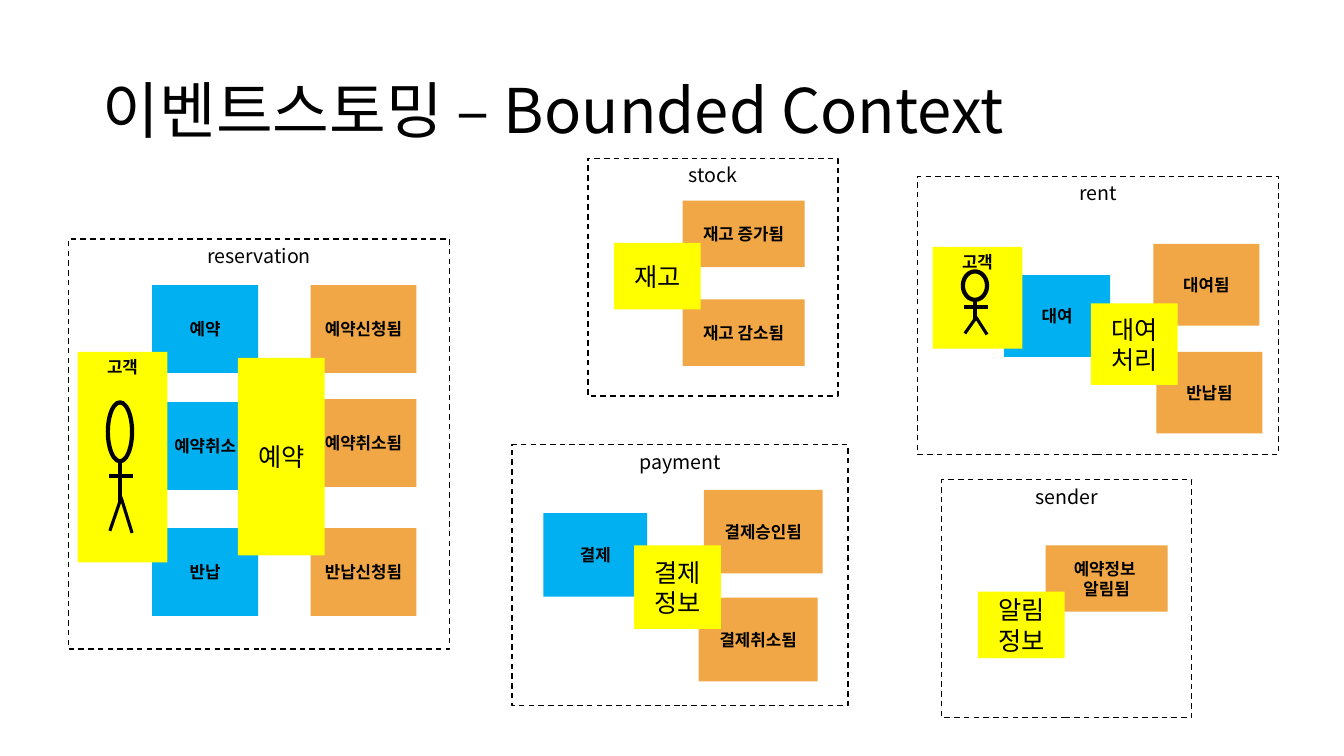
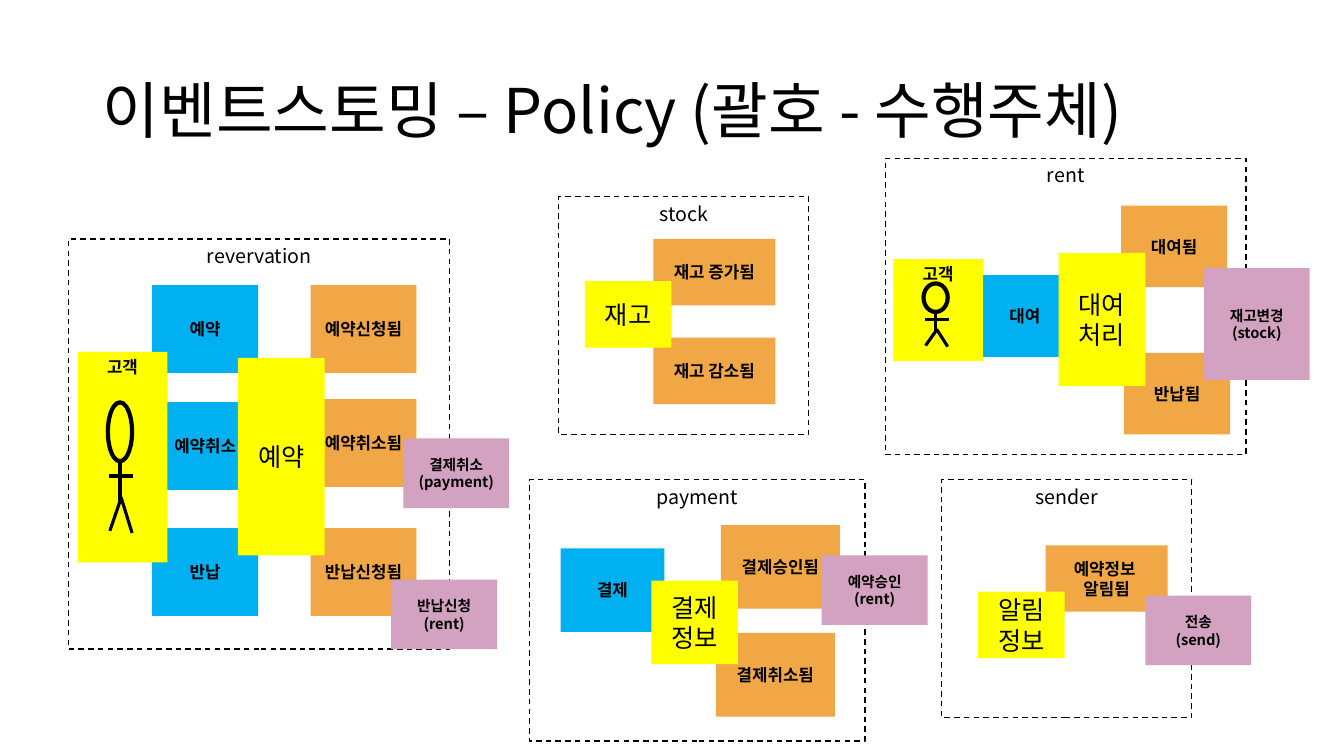
import lxml.etree
import pptx
import pptx.dml.color
import pptx.enum.dml
import pptx.enum.shapes
import pptx.enum.text
import pptx.oxml.ns
import pptx.util

Inches = pptx.util.Inches
ANCHOR = pptx.enum.text.MSO_ANCHOR
ALIGN = pptx.enum.text.PP_ALIGN
SHAPE = pptx.enum.shapes.MSO_SHAPE

FONT = "Noto Sans CJK KR"
COLOURS = {
    "ink": "000000",
    "command": "00B0F0",
    "event": "F1A746",
    "aggregate": "FFFF00",
    "actor": "FFFF00",
    "policy": "D4A2C1",
}
# Text format of each kind of sticky note
NOTE_TEXT = {
    "command": dict(size=12, bold=True),
    "event": dict(size=12, bold=True),
    "aggregate": dict(size=18),
    "actor": dict(size=12, bold=True, anchor=ANCHOR.TOP),
    "policy": dict(size=10.5, bold=True),
}


def colour(name):
    return pptx.dml.color.RGBColor.from_string(COLOURS[name])


def write_text(shape, text, size, bold=False, align=ALIGN.CENTER,
               anchor=ANCHOR.MIDDLE, line_spacing=None):
    """Fill a shape with text, one paragraph per line."""
    frame = shape.text_frame
    frame.word_wrap = True
    frame.auto_size = pptx.enum.text.MSO_AUTO_SIZE.NONE
    frame.vertical_anchor = anchor
    frame.text = text
    for paragraph in frame.paragraphs:
        paragraph.alignment = align
        paragraph.line_spacing = line_spacing
        for run in paragraph.runs:
            run.font.size = pptx.util.Pt(size)
            run.font.bold = bold
            run.font.color.rgb = colour("ink")
            run.font.name = FONT
            # East Asian typeface for the Korean letters
            lxml.etree.SubElement(run.font._element, pptx.oxml.ns.qn("a:ea"), typeface=FONT)


def add_outline(line, width):
    line.color.rgb = colour("ink")
    line.width = pptx.util.Pt(width)


def add_plain_shape(shapes, kind, left, top, width, height):
    """Add a shape without fill or shadow."""
    shape = shapes.add_shape(kind, Inches(left), Inches(top), Inches(width), Inches(height))
    shape.shadow.inherit = False
    shape.fill.background()
    return shape


def add_note(shapes, kind, left, top, width, height, text):
    note = add_plain_shape(shapes, SHAPE.RECTANGLE, left, top, width, height)
    note.fill.solid()
    note.fill.fore_color.rgb = colour(kind)
    note.line.fill.background()
    write_text(note, text, **NOTE_TEXT[kind])


def add_line(shapes, start_x, start_y, end_x, end_y):
    line = shapes.add_connector(
        pptx.enum.shapes.MSO_CONNECTOR.STRAIGHT,
        Inches(start_x), Inches(start_y), Inches(end_x), Inches(end_y))
    add_outline(line.line, 2.25)
    lxml.etree.SubElement(line._element.spPr, pptx.oxml.ns.qn("a:effectLst"))


def add_actor(shapes, left, top, width, height, text):
    """Add a note with a stick figure stretched to the note's height."""
    group = shapes.add_group_shape().shapes
    add_note(group, "actor", left, top, width, height, text)
    head = add_plain_shape(group, SHAPE.OVAL, left + 0.3, top + 0.24 * height,
                           0.24, 0.28 * height)
    add_outline(head.line, 3)
    limbs = [
        (0.31, 0.59, 0.55, 0.59),  # arms
        (0.42, 0.52, 0.42, 0.72),  # body
        (0.42, 0.71, 0.32, 0.85),  # left leg
        (0.43, 0.69, 0.54, 0.86),  # right leg
    ]
    for start_x, start_y, end_x, end_y in limbs:
        add_line(group, left + start_x, top + start_y * height,
                 left + end_x, top + end_y * height)


def add_context(slide, name, left, top, width, height, notes, policies=()):
    """Add a dashed context; its notes are placed relative to its corner."""
    def place(items):
        for kind, x, y, *rest in items:
            if kind == "actor":
                add_actor(slide.shapes, left + x, top + y, *rest)
            else:
                add_note(slide.shapes, kind, left + x, top + y, *rest)

    place(notes)
    frame = add_plain_shape(slide.shapes, SHAPE.RECTANGLE, left, top, width, height)
    add_outline(frame.line, 1)
    frame.line.dash_style = pptx.enum.dml.MSO_LINE.DASH
    write_text(frame, name, size=14, anchor=ANCHOR.TOP)
    place(policies)


def add_reservation(slide, name, policies=()):
    notes = [
        ("event", 2.4, 0.46, 1.05, 0.87, "예약신청됨"),
        ("command", 0.83, 0.46, 1.05, 0.87, "예약"),
        ("event", 2.4, 1.59, 1.05, 0.87, "예약취소됨"),
        ("command", 0.83, 1.62, 1.05, 0.87, "예약취소"),
        ("event", 2.4, 2.87, 1.05, 0.87, "반납신청됨"),
        ("command", 0.83, 2.87, 1.05, 0.87, "반납"),
        ("actor", 0.09, 1.12, 0.89, 2.09, "고객"),
        ("aggregate", 1.68, 1.18, 0.86, 1.96, "예약"),
    ]
    add_context(slide, name, 0.68, 2.37, 3.78, 4.07, notes, policies)


def add_payment(slide, left, top, policies=()):
    notes = [
        ("event", 1.9, 0.45, 1.18, 0.83, "결제승인됨"),
        ("command", 0.31, 0.68, 1.03, 0.83, "결제"),
        ("event", 1.85, 1.52, 1.18, 0.83, "결제취소됨"),
        ("aggregate", 1.21, 1, 0.86, 0.83, "결제\n정보"),
    ]
    add_context(slide, "payment", left, top, 3.33, 2.59, notes, policies)


def add_stock(slide, left, top):
    notes = [
        ("event", 0.94, 1.4, 1.21, 0.66, "재고 감소됨"),
        ("event", 0.94, 0.42, 1.21, 0.66, "재고 증가됨"),
        ("aggregate", 0.26, 0.84, 0.86, 0.66, "재고"),
    ]
    add_context(slide, "stock", left, top, 2.48, 2.36, notes)


def add_rent(slide, left, top, height, rented_top, command_top, actor_at,
             returned_top, aggregate_top, aggregate_height, policies=()):
    notes = [
        ("event", 2.34, rented_top, 1.05, 0.81, "대여됨"),
        ("command", 0.86, command_top, 1.05, 0.81, "대여"),
        ("actor", *actor_at, 0.89, 1.01, "고객"),
        ("event", 2.37, returned_top, 1.05, 0.81, "반납됨"),
        ("aggregate", 1.72, aggregate_top, 0.86, aggregate_height, "대여\n처리"),
    ]
    add_context(slide, "rent", left, top, 3.58, height, notes, policies)


def add_sender(slide, policies=()):
    notes = [
        ("event", 1.03, 0.65, 1.21, 0.66, "예약정보 \n알림됨"),
        ("aggregate", 0.36, 1.11, 0.86, 0.66, "알림정보"),
    ]
    add_context(slide, "sender", 9.34, 4.76, 2.48, 2.36, notes, policies)


def add_titled_slide(presentation, text):
    slide = presentation.slides.add_slide(presentation.slide_layouts.get_by_name("Title Only"))
    title = slide.shapes.title
    title.left, title.top = Inches(0.92), Inches(0.4)
    title.width, title.height = Inches(11.5), Inches(1.45)
    write_text(title, text, size=44, align=ALIGN.LEFT, line_spacing=0.9)
    return slide


def build_bounded_context(presentation):
    slide = add_titled_slide(presentation, "이벤트스토밍 – Bounded Context")
    add_reservation(slide, "reservation")
    add_payment(slide, 5.08, 4.41)
    add_stock(slide, 5.83, 1.57)
    add_rent(slide, 9.1, 1.75, 2.76, rented_top=0.67, command_top=0.98,
             actor_at=(0.15, 0.7), returned_top=1.74,
             aggregate_top=1.26, aggregate_height=0.81)
    add_sender(slide)


def build_policy(presentation):
    slide = add_titled_slide(presentation, "이벤트스토밍 – Policy (괄호 - 수행주체)")
    add_reservation(slide, "revervation", [
        ("policy", 3.32, 1.98, 1.05, 0.69, "결제취소(payment)"),
        ("policy", 3.2, 3.38, 1.05, 0.69, "반납신청(rent)"),
    ])
    add_payment(slide, 5.25, 4.76, [("policy", 2.9, 0.75, 1.05, 0.69, "예약승인(rent)")])
    add_stock(slide, 5.54, 1.95)
    add_rent(slide, 8.78, 1.57, 2.94, rented_top=0.47, command_top=1.16,
             actor_at=(0.08, 1), returned_top=1.93,
             aggregate_top=0.94, aggregate_height=1.32,
             policies=[("policy", 3.16, 1.09, 1.05, 1.11, "재고변경(stock)")])
    add_sender(slide, [("policy", 2.02, 1.15, 1.05, 0.69, "전송\n(send)")])


def main():
    presentation = pptx.Presentation()
    presentation.slide_width = Inches(13.33)
    presentation.slide_height = Inches(7.5)
    build_bounded_context(presentation)
    build_policy(presentation)
    presentation.save("out.pptx")


if __name__ == "__main__":
    main()
